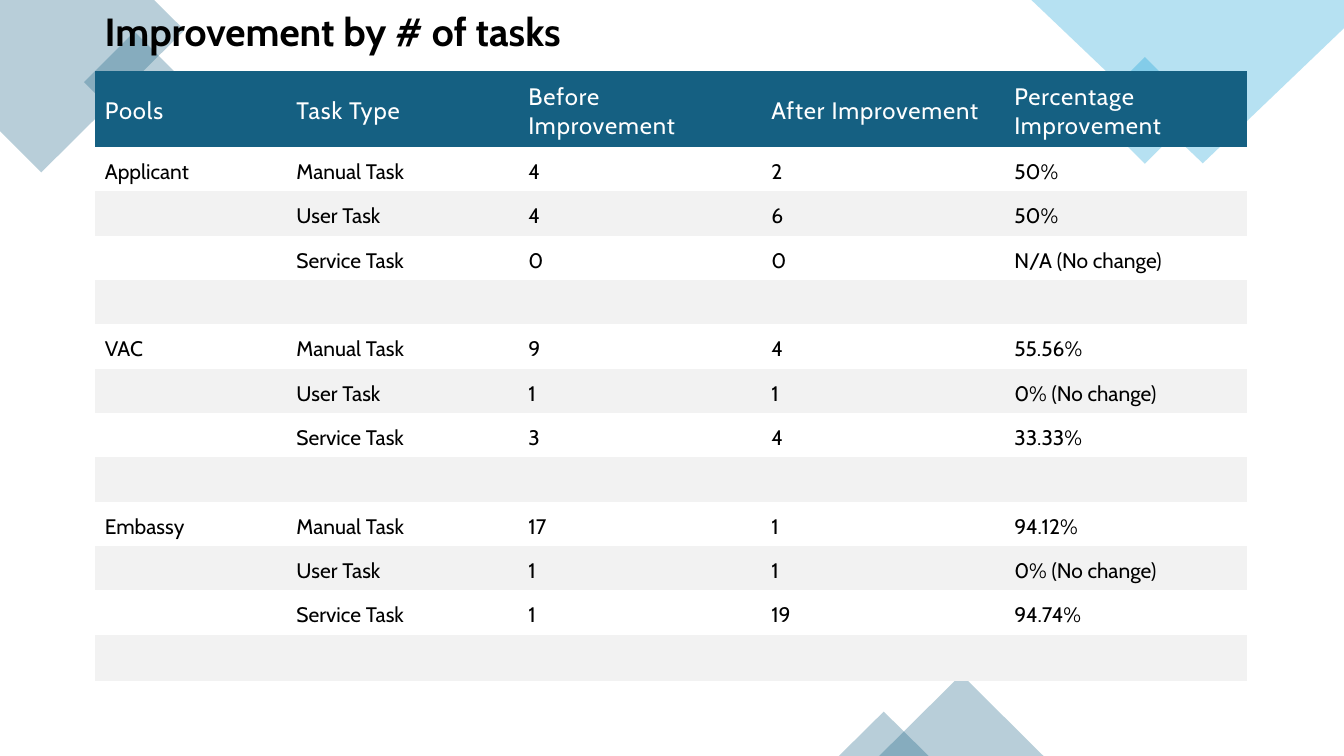
from pptx import Presentation
from pptx.dml.color import RGBColor
from pptx.enum.shapes import MSO_SHAPE
from pptx.enum.text import MSO_ANCHOR, MSO_AUTO_SIZE
from pptx.oxml.ns import qn
from pptx.util import Inches, Pt
from lxml.etree import SubElement

FONT = "Cabin"
TEAL, SKY, GREY, WHITE, BLACK = "156082", "0F9ED5", "F2F2F2", "FFFFFF", "000000"
NO_GRID_STYLE = "{2D5ABB26-0587-4C30-8999-92F81FD0307C}"
COLUMN_WIDTHS = [1.9, 2.3, 2.41, 2.41, 2.41]
HEADER_HEIGHT, ROW_HEIGHT, LAST_ROW_HEIGHT = 0.76, 0.44, 0.46
HEADINGS = ["Pools", "Task Type", "Before Improvement", "After Improvement",
            "Percentage Improvement"]
TASK_TYPES = ["Manual Task", "User Task", "Service Task"]
POOLS = {
    "Applicant": [("4", "2", "50%"), ("4", "6", "50%"), ("0", "0", "N/A (No change)")],
    "VAC": [("9", "4", "55.56%"), ("1", "1", "0% (No change)"), ("3", "4", "33.33%")],
    "Embassy": [("17", "1", "94.12%"), ("1", "1", "0% (No change)"), ("1", "19", "94.74%")],
}


def color(value):
    """Turn a hex string into a colour."""
    return RGBColor.from_string(value)


def tint(shape, fill):
    """Give a shape a 30% opaque fill with no line or shadow."""
    shape.shadow.inherit = False
    shape.line.fill.background()
    shape.fill.solid()
    shape.fill.fore_color.rgb = color(fill)
    rgb = next(shape.fill._xPr.iter(qn("a:srgbClr")))
    SubElement(rgb, qn("a:alpha"), val="30000")


def add_polygon(slide, left, top, points, fill):
    """Draw a tinted polygon from points relative to left and top."""
    corners = [(Inches(left + x), Inches(top + y)) for x, y in points]
    builder = slide.shapes.build_freeform(*corners[0])
    builder.add_line_segments(corners[1:], close=True)
    tint(builder.convert_to_shape(), fill)


def add_tinted(slide, kind, left, top, width, height, fill, rotation=0):
    """Draw a tinted preset shape."""
    shape = slide.shapes.add_shape(
        kind, Inches(left), Inches(top), Inches(width), Inches(height))
    shape.rotation = rotation
    tint(shape, fill)


def add_left_corner(slide, left, top):
    """Draw the cut diamond and the small diamond at the top left."""
    add_polygon(slide, left, top,
                [(1.53, 0), (0, 0), (0, 1.3), (0.41, 1.71), (1.83, 0.3)], TEAL)
    add_tinted(slide, MSO_SHAPE.RECTANGLE, left + 0.98, top + 0.46, 0.71, 0.71, TEAL, 315)


def add_right_corner(slide, left, top):
    """Draw the small diamond and the cut diamond at the top right."""
    add_tinted(slide, MSO_SHAPE.RECTANGLE, left + 0.75, top + 0.72, 0.75, 0.75, SKY, 315)
    add_polygon(slide, left, top, [(3.1, 0), (0, 0), (1.7, 1.62), (3.1, 0.28)], SKY)


def add_bottom_peaks(slide, left, bottom):
    """Stand two overlapping triangles on the bottom edge."""
    for offset, width, height in [(0.4, 1.63, 0.81), (0, 0.89, 0.44)]:
        add_tinted(slide, MSO_SHAPE.ISOSCELES_TRIANGLE, left + offset, bottom - height,
                   width, height, TEAL)


def format_run(run, size, text_color, bold=False):
    """Set the font of a run."""
    run.font.name = FONT
    run.font.size = Pt(size)
    run.font.bold = bold
    run.font.color.rgb = color(text_color)


def fill_cell(cell, text, size, text_color, fill, spacing=0):
    """Write one table cell and set its fill."""
    cell.vertical_anchor = MSO_ANCHOR.MIDDLE
    cell.margin_left = cell.margin_right = cell.margin_top = Inches(0.1)
    cell.margin_bottom = Inches(0.05)
    if fill:
        cell.fill.solid()
        cell.fill.fore_color.rgb = color(fill)
    else:
        cell.fill.background()
    cell.text_frame.text = text
    paragraph = cell.text_frame.paragraphs[0]
    for run in paragraph.runs:
        format_run(run, size, text_color)
        run._r.get_or_add_rPr().set("spc", str(spacing))
    if not text:
        paragraph._p.get_or_add_endParaRPr().set("sz", str(size * 100))


def task_rows():
    """List the body rows, with an empty row after each pool."""
    rows = []
    for pool, results in POOLS.items():
        for index, (task, values) in enumerate(zip(TASK_TYPES, results)):
            rows.append([pool if index == 0 else "", task, *values])
        rows.append([""] * len(HEADINGS))
    return rows


def add_task_table(slide, left, top):
    """Place the banded table of task counts."""
    body = task_rows()
    heights = [HEADER_HEIGHT] + [ROW_HEIGHT] * (len(body) - 1) + [LAST_ROW_HEIGHT]
    table = slide.shapes.add_table(
        len(heights), len(HEADINGS), Inches(left), Inches(top),
        Inches(sum(COLUMN_WIDTHS)), Inches(sum(heights))).table
    table.horz_banding = False
    table._tbl.tblPr.find(qn("a:tableStyleId")).text = NO_GRID_STYLE
    for column, width in zip(table.columns, COLUMN_WIDTHS):
        column.width = Inches(width)
    for row, height in zip(table.rows, heights):
        row.height = Inches(height)
    for column, heading in enumerate(HEADINGS):
        fill_cell(table.cell(0, column), heading, 17, WHITE, TEAL, spacing=60)
    for row, values in enumerate(body, start=1):
        for column, value in enumerate(values):
            fill_cell(table.cell(row, column), value, 15, BLACK,
                      GREY if row % 2 == 0 else None)


def add_title(slide, left, top, width, height):
    """Place the slide title."""
    box = slide.shapes.add_textbox(
        Inches(left), Inches(top), Inches(width), Inches(height))
    box.text_frame.word_wrap = True
    box.text_frame.auto_size = MSO_AUTO_SIZE.SHAPE_TO_FIT_TEXT
    box.text_frame.text = "Improvement by # of tasks"
    format_run(box.text_frame.paragraphs[0].runs[0], 28, BLACK, bold=True)


def main():
    """Build the slide and save it."""
    presentation = Presentation()
    presentation.slide_width = Inches(13.33)
    presentation.slide_height = Inches(7.5)
    slide = presentation.slides.add_slide(presentation.slide_layouts[6])
    add_left_corner(slide, 0, 0)
    add_right_corner(slide, 10.23, 0)
    add_bottom_peaks(slide, 8.32, 7.5)
    add_task_table(slide, 0.94, 0.7)
    add_title(slide, 0.94, 0.02, 5.37, 0.57)
    presentation.save("out.pptx")


if __name__ == "__main__":
    main()
